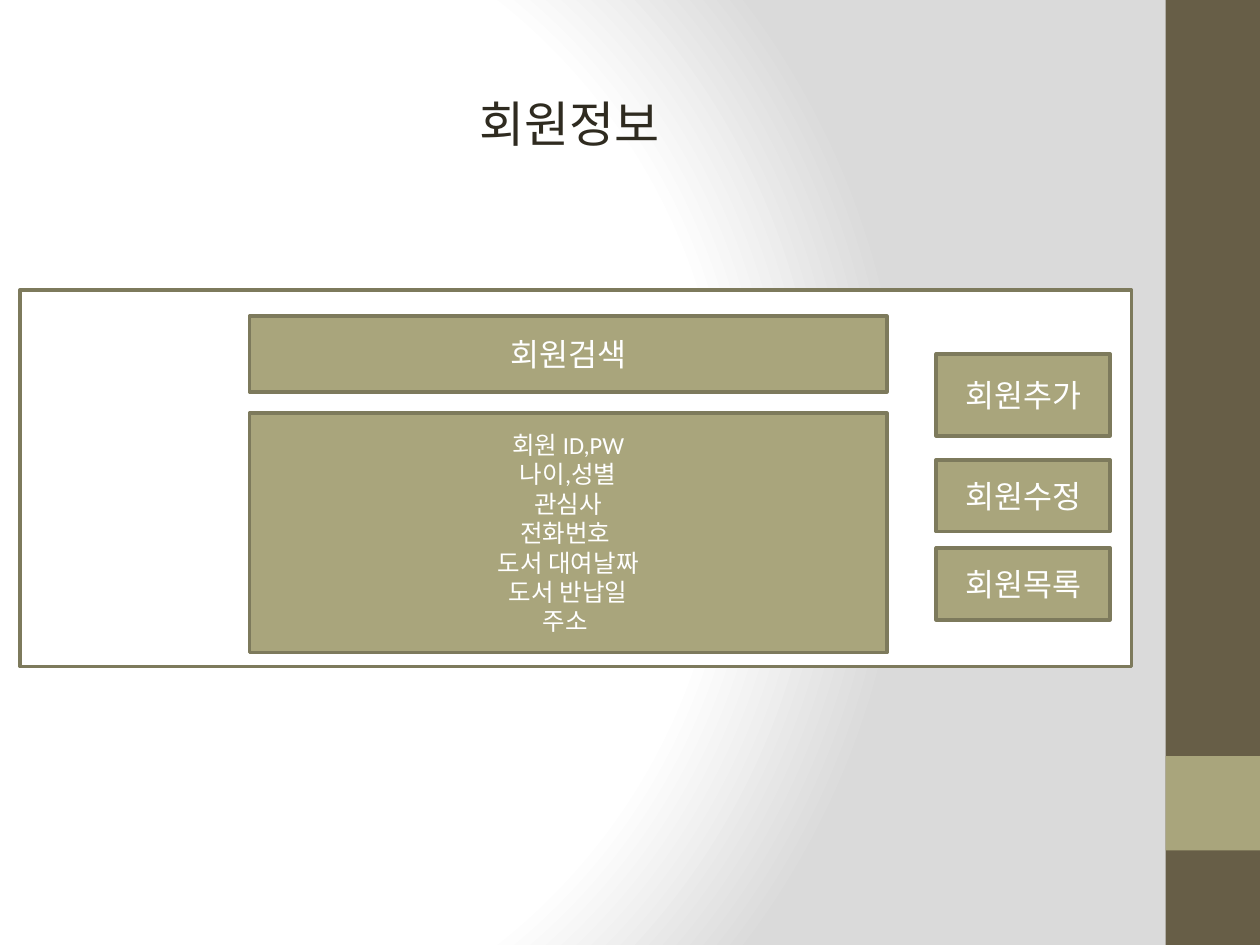
from dataclasses import dataclass

from pptx import Presentation, util as u
from pptx.dml.color import RGBColor
from pptx.enum import shapes, text
from pptx.oxml import parse_xml
from pptx.oxml.ns import nsdecls, qn

FONT = "Calibri"
WHITE, GREY = "FFFFFF", "DADADA"
OLIVE, OUTLINE, BROWN, INK = "A9A57C", "7D7A5C", "675E47", "2F2B20"
PANEL_LEFT, PANEL_WIDTH = 1.98, 5.06
BUTTON_LEFT, BUTTON_WIDTH = 7.43, 1.38


@dataclass
class Box:
    left: float
    top: float
    width: float
    height: float
    fill: str = OLIVE
    line: str | None = OUTLINE
    lines: tuple[str, ...] = ()
    size: int = 18


def color(value: str) -> RGBColor:
    return RGBColor.from_string(value)


def set_background(slide) -> None:
    fill = slide.background.fill
    fill.gradient()
    stops = "".join(
        f'<a:gs pos="{position * 1000}"><a:srgbClr val="{value}"/></a:gs>'
        for position, value in ((0, WHITE), (75, WHITE), (100, GREY))
    )
    gradient = parse_xml(
        f'<a:gradFill {nsdecls("a")} rotWithShape="1"><a:gsLst>{stops}</a:gsLst>'
        '<a:path path="circle">'
        '<a:fillToRect l="20000" t="50000" r="100000" b="50000"/>'
        "</a:path></a:gradFill>"
    )
    previous = next(slide.element.iter(qn("a:gradFill")))
    previous.getparent().replace(previous, gradient)


def write_lines(frame, lines: tuple[str, ...], size: int, ink: str) -> None:
    frame.word_wrap = True
    frame.text = "\n".join(lines)
    for paragraph in frame.paragraphs:
        paragraph.alignment = text.PP_ALIGN.CENTER
        paragraph.font.name = FONT
        paragraph.font.size = u.Pt(size)
        paragraph.font.color.rgb = color(ink)


def draw_box(slide, box: Box) -> None:
    shape = slide.shapes.add_shape(
        shapes.MSO_SHAPE.RECTANGLE,
        u.Inches(box.left), u.Inches(box.top),
        u.Inches(box.width), u.Inches(box.height),
    )
    shape.shadow.inherit = False
    shape.fill.solid()
    shape.fill.fore_color.rgb = color(box.fill)
    if box.line:
        shape.line.color.rgb = color(box.line)
        shape.line.width = u.Pt(2)
    else:
        shape.line.fill.background()
    if box.lines:
        shape.text_frame.vertical_anchor = text.MSO_ANCHOR.MIDDLE
        write_lines(shape.text_frame, box.lines, box.size, WHITE)


def draw_title(slide, title: str) -> None:
    shape = slide.shapes.add_textbox(
        u.Inches(1.71), u.Inches(0.69), u.Inches(5.71), u.Inches(0.57)
    )
    write_lines(shape.text_frame, (title,), 28, INK)
    shape.text_frame.auto_size = text.MSO_AUTO_SIZE.SHAPE_TO_FIT_TEXT


def main() -> None:
    presentation = Presentation()
    presentation.slide_width = u.Inches(10)
    presentation.slide_height = u.Inches(7.5)
    slide = presentation.slides.add_slide(presentation.slide_layouts[6])
    set_background(slide)

    member_fields = (
        "회원 ID,PW", "나이,성별", "관심사", "전화번호 ",
        "도서 대여날짜", "도서 반납일", "주소 ",
    )
    buttons = (
        (2.81, 0.65, "회원추가"),
        (3.65, 0.57, "회원수정"),
        (4.35, 0.57, "회원목록"),
    )
    boxes = [
        Box(9.25, 0, 0.75, 7.5, BROWN, None),
        Box(9.25, 6, 0.75, 0.75, OLIVE, None),
        Box(0.16, 2.3, 8.82, 2.99, WHITE),
        Box(PANEL_LEFT, 3.28, PANEL_WIDTH, 1.9, lines=member_fields, size=14),
        Box(PANEL_LEFT, 2.51, PANEL_WIDTH, 0.6, lines=("회원검색",)),
    ]
    boxes += [
        Box(BUTTON_LEFT, top, BUTTON_WIDTH, height, lines=(label,))
        for top, height, label in buttons
    ]
    for box in boxes:
        draw_box(slide, box)
    draw_title(slide, "회원정보 ")

    presentation.save("out.pptx")


if __name__ == "__main__":
    main()
